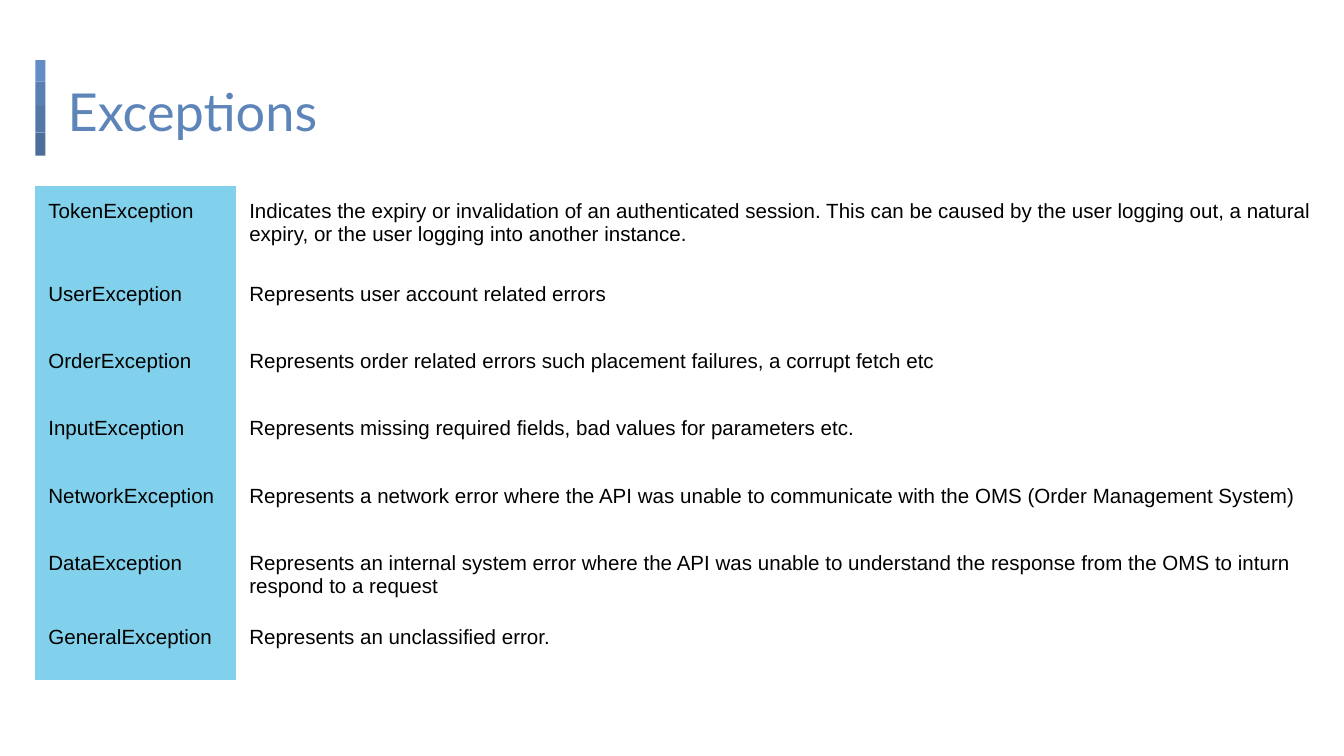
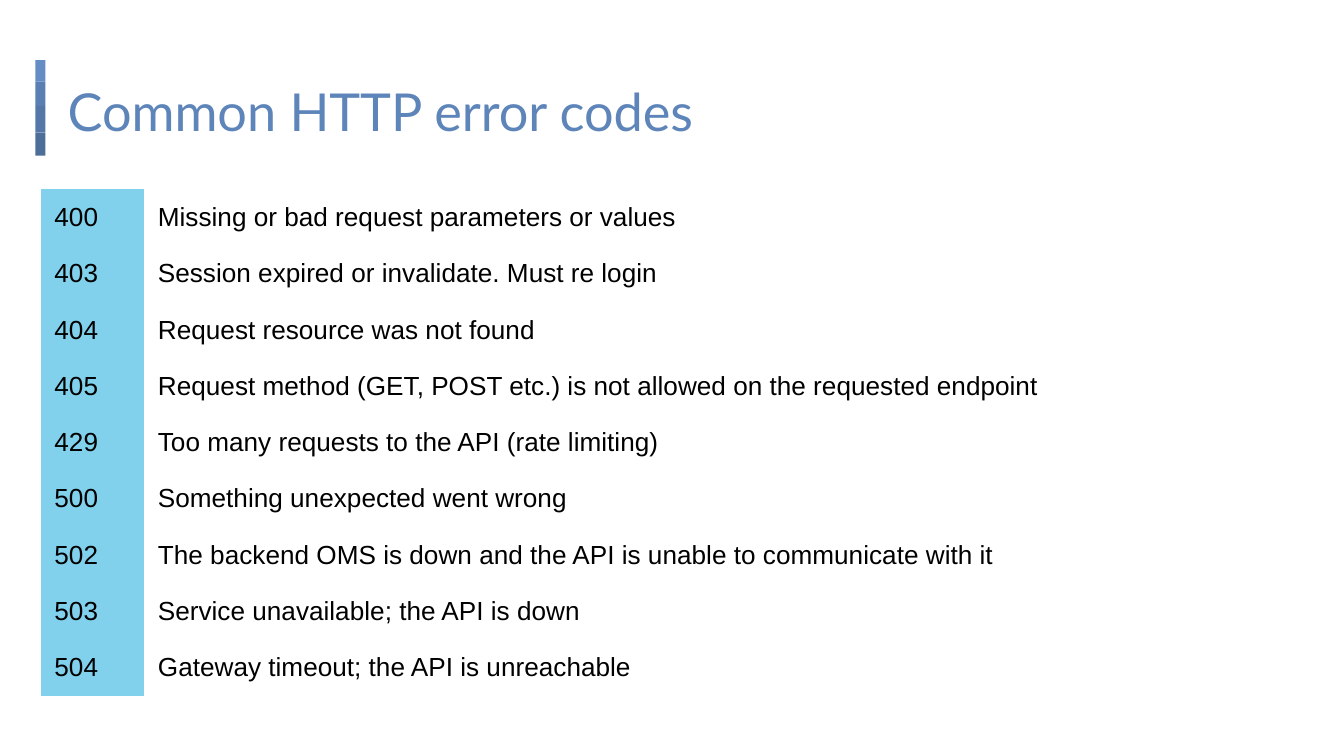
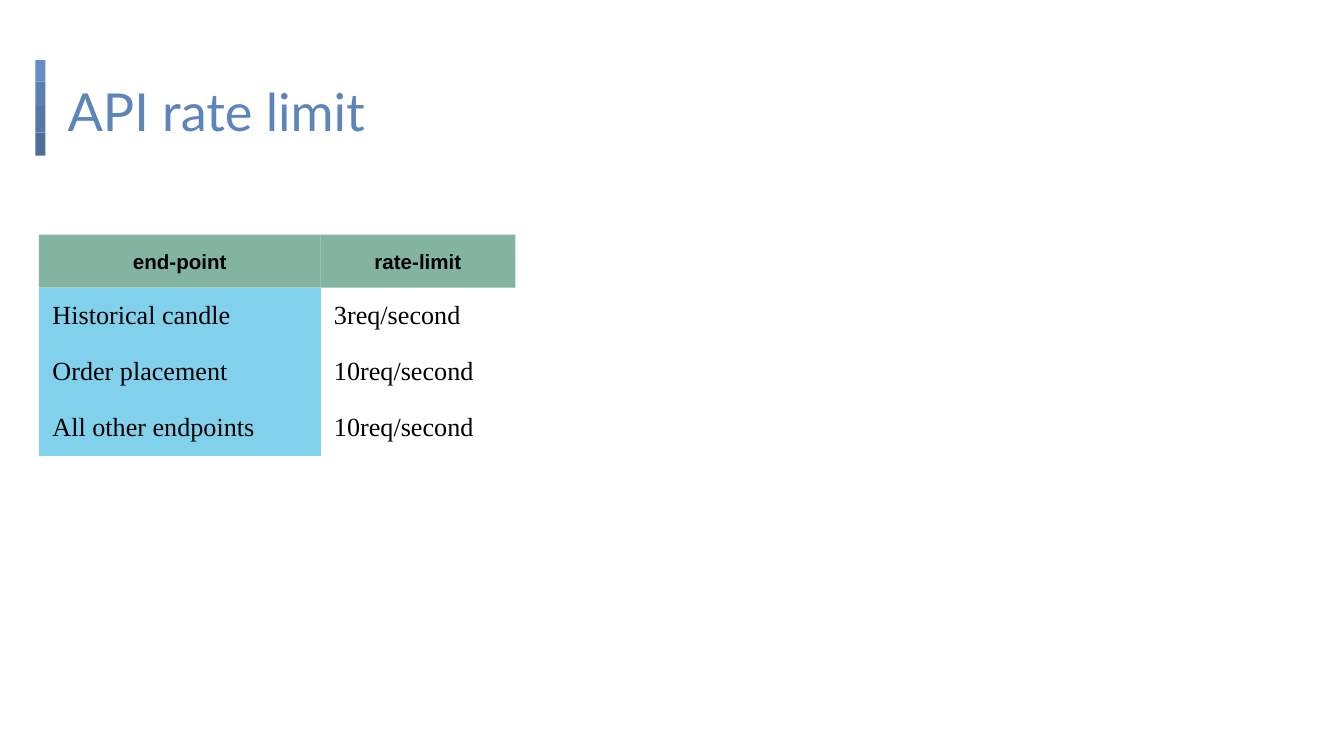
from lxml import etree
from pptx import Presentation
from pptx.dml.color import RGBColor
from pptx.enum.shapes import MSO_SHAPE
from pptx.enum.text import PP_ALIGN
from pptx.oxml.ns import qn
from pptx.util import Pt

RECTANGLE = MSO_SHAPE.RECTANGLE
LEFT, CENTER = PP_ALIGN.LEFT, PP_ALIGN.CENTER
EMU_PER_PX = 4572
BLANK_LAYOUT = 6
PLAIN_TABLE_STYLE = "{2D5ABB26-0587-4C30-8999-92F81FD0307C}"
INSET = 20
CELL_BOTTOM_INSET = 17

COLORS = {
    "title": "5E85B9",
    "text": "000000",
    "key": "81D1EC",
    "header": "74AB96",
    "band 1": "648DC6",
    "band 2": "5A7FB3",
    "band 3": "5477A7",
    "band 4": "4E6E9A",
}
BAND_SEGMENTS = [("band 1", 32), ("band 2", 36), ("band 3", 40), ("band 4", 34)]

EXCEPTIONS = [
    ("TokenException", "Indicates the expiry or invalidation of an authenticated session. "
     "This can be caused by the user logging out, a natural expiry, "
     "or the user logging into another instance."),
    ("UserException", "Represents user account related errors"),
    ("OrderException", "Represents order related errors such placement failures, a corrupt fetch etc"),
    ("InputException", "Represents missing required fields, bad values for parameters etc."),
    ("NetworkException", "Represents a network error where the API was unable to communicate "
     "with the OMS (Order Management System)"),
    ("DataException", "Represents an internal system error where the API was unable to understand "
     "the response from the OMS to inturn respond to a request"),
    ("GeneralException", "Represents an unclassified error."),
]
ERROR_CODES = [
    ("400", "Missing or bad request parameters or values"),
    ("403", "Session expired or invalidate. Must re login"),
    ("404", "Request resource was not found"),
    ("405", "Request method (GET, POST etc.) is not allowed on the requested endpoint"),
    ("429", "Too many requests to the API (rate limiting)"),
    ("500", "Something unexpected went wrong"),
    ("502", "The backend OMS is down and the API is unable to communicate with it"),
    ("503", "Service unavailable; the API is down"),
    ("504", "Gateway timeout; the API is unreachable"),
]
RATE_LIMITS = [
    ("end-point", "rate-limit"),
    ("Historical candle", "3req/second"),
    ("Order placement", "10req/second"),
    ("All other endpoints", "10req/second"),
]


def px(length):
    """Turn px into EMU."""
    return length * EMU_PER_PX


def write_text(frame, text, size=14, font="Arial", color="text", bold=False,
               align=LEFT, spacing=None):
    """Put one formatted paragraph into a text frame."""
    paragraph = frame.paragraphs[0]
    paragraph.alignment = align
    paragraph.line_spacing = spacing
    run = paragraph.add_run()
    run.text = text
    run.font.size = Pt(size)
    run.font.name = font
    run.font.bold = bold
    run.font.color.rgb = RGBColor.from_string(COLORS[color])


def set_insets(holder, bottom=INSET):
    """Give a text frame or a cell the common insets."""
    holder.margin_left = holder.margin_right = holder.margin_top = px(INSET)
    holder.margin_bottom = px(bottom)


def fill_cell(cell, color, opacity=100):
    """Fill a cell, partly transparent if opacity is below 100."""
    cell.fill.solid()
    cell.fill.fore_color.rgb = RGBColor.from_string(COLORS[color])
    if opacity < 100:
        tint = next(cell._tc.iter(qn("a:srgbClr")))
        etree.SubElement(tint, qn("a:alpha")).set("val", str(opacity * 1000))


class Deck:
    """Holds the presentation, its style and the current slide."""

    def __init__(self, width, height):
        """Start an empty presentation."""
        self.deck = Presentation()
        self.deck.slide_width = px(width)
        self.deck.slide_height = px(height)
        self.slide = None

    def new_slide(self, title):
        """Add a slide with its band and title."""
        self.slide = self.deck.slides.add_slide(self.deck.slide_layouts[BLANK_LAYOUT])
        self.band(center=60, top=89, thickness=15)
        self.title(title)

    def band(self, center, top, thickness):
        """Stack the turned segments of the band beside the title."""
        for color, length in BAND_SEGMENTS:
            segment = self.slide.shapes.add_shape(
                RECTANGLE, px(center - length // 2), px(top + length // 2 - thickness // 2),
                px(length), px(thickness))
            segment.rotation = 270
            segment.shadow.inherit = False
            segment.fill.solid()
            segment.fill.fore_color.rgb = RGBColor.from_string(COLORS[color])
            segment.line.fill.background()
            top += length

    def title(self, text):
        """Add the slide title."""
        frame = self.slide.shapes.add_textbox(px(81), px(98), px(1850), px(126)).text_frame
        frame.word_wrap = True
        set_insets(frame)
        write_text(frame, text, size=28, font="Lato", color="title")

    def table(self, left, top, widths, heights, entries, has_header=False, **style):
        """Add a table whose first column is highlighted."""
        holder = self.slide.shapes.add_table(
            len(entries), len(widths), px(left), px(top), px(sum(widths)), px(sum(heights)))
        next(holder.element.iter(qn("a:tableStyleId"))).text = PLAIN_TABLE_STYLE
        grid = holder.table
        grid.first_row = has_header
        grid.horz_banding = False
        for column, width in zip(grid.columns, widths):
            column.width = px(width)
        for row, height, entry in zip(grid.rows, heights, entries):
            row.height = px(height)
            is_header = has_header and entry is entries[0]
            for position, (cell, text) in enumerate(zip(row.cells, entry)):
                set_insets(cell, bottom=CELL_BOTTOM_INSET)
                if is_header:
                    fill_cell(cell, "header", opacity=89)
                    write_text(cell.text_frame, text, size=11, bold=True,
                               align=CENTER, spacing=1.15)
                    continue
                if position == 0:
                    fill_cell(cell, "key")
                else:
                    cell.fill.background()
                write_text(cell.text_frame, text, **style)

    def save(self):
        """Write the presentation."""
        self.deck.save("out.pptx")


def main():
    """Build the three slides."""
    deck = Deck(2000, 1125)

    deck.new_slide("Exceptions")
    deck.table(52, 277, [299, 1628], [124] + [100] * 6, EXCEPTIONS, size=11)

    deck.new_slide("Common HTTP error codes")
    deck.table(61, 282, [154, 1366], [42] * len(ERROR_CODES), ERROR_CODES)

    deck.new_slide("API rate limit")
    deck.table(58, 349, [419, 290], [42] * len(RATE_LIMITS), RATE_LIMITS,
               has_header=True, font="Times New Roman")

    deck.save()


if __name__ == "__main__":
    main()
